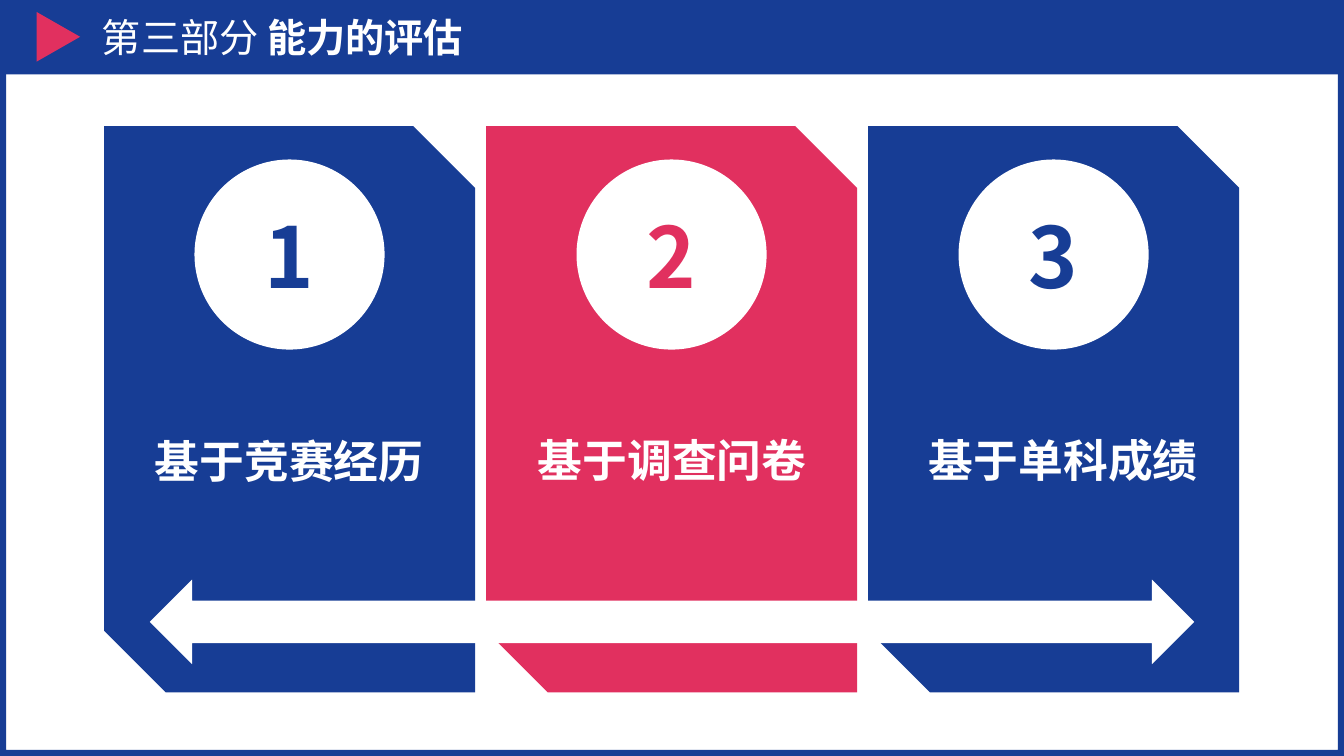
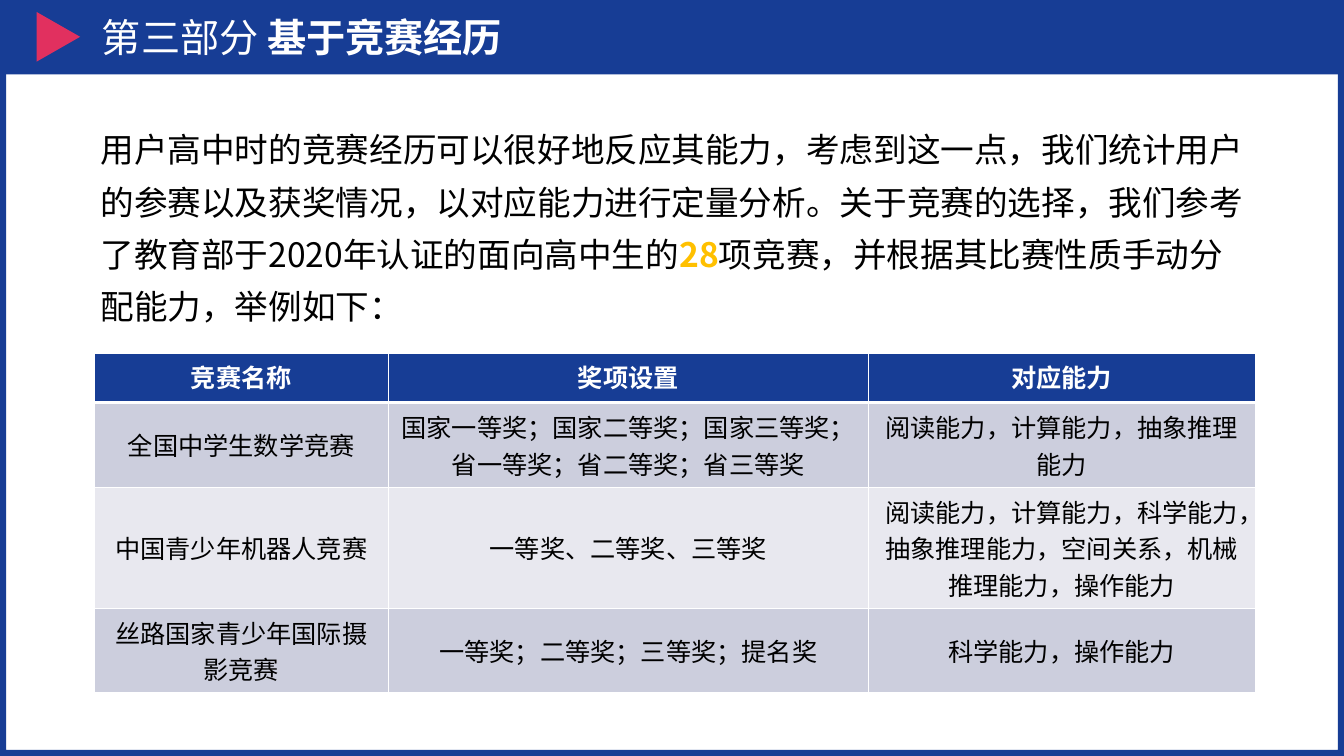
from dataclasses import dataclass

from lxml import etree
from pptx import Presentation
from pptx.dml.color import RGBColor
from pptx.enum.lang import MSO_LANGUAGE_ID
from pptx.enum.shapes import MSO_SHAPE
from pptx.enum.text import MSO_ANCHOR, MSO_AUTO_SIZE, PP_ALIGN
from pptx.oxml.ns import qn
from pptx.util import Pt

FRAME, BAND = MSO_SHAPE.FRAME, MSO_SHAPE.RECTANGLE
TRIANGLE, CIRCLE = MSO_SHAPE.ISOSCELES_TRIANGLE, MSO_SHAPE.OVAL
CARD, ARROW = MSO_SHAPE.SNIP_2_DIAG_RECTANGLE, MSO_SHAPE.LEFT_RIGHT_ARROW
LEFT, CENTER = PP_ALIGN.LEFT, PP_ALIGN.CENTER
TOP, MIDDLE = MSO_ANCHOR.TOP, MSO_ANCHOR.MIDDLE
FIT_SHAPE = MSO_AUTO_SIZE.SHAPE_TO_FIT_TEXT
NO_AUTOFIT = MSO_AUTO_SIZE.NONE
CHINESE = MSO_LANGUAGE_ID.SIMPLIFIED_CHINESE

FONT = "Noto Sans CJK SC"
COLORS = {
    "blue": "173D95", "red": "E1305F", "white": "FFFFFF", "black": "000000",
    "gold": "FFC000", "band_dark": "CCCEDD", "band_light": "E8E8EF",
}
SLIDE_WIDTH, SLIDE_HEIGHT = 960, 540
BAND_HEIGHT = 53.2
TITLE_ONLY = 5


@dataclass(frozen=True)
class Box:
    left: float
    top: float
    width: float
    height: float

    def lengths(self) -> tuple:
        return Pt(self.left), Pt(self.top), Pt(self.width), Pt(self.height)


@dataclass(frozen=True)
class TextRun:
    text: str
    size: float
    color: str
    bold: bool = False


@dataclass(frozen=True)
class Method:
    label: str
    color: str
    label_left: float
    label_top: float


METHODS = [
    Method("基于竞赛经历", "blue", 100.8, 310.3),
    Method("基于调查问卷", "red", 374.4, 309.6),
    Method("基于单科成绩", "blue", 653.8, 309.6),
]
CARD_BOX = Box(74.3, 90, 265, 404.6)
CARD_STEP = 272.9
CIRCLE_TOP, CIRCLE_SIZE = 114.4, 134.8

INTRODUCTION = [
    TextRun("用户高中时的竞赛经历可以很好地反应其能力，考虑到这一点，我们统计用户的参赛以及获奖情况，"
            "以对应能力进行定量分析。关于竞赛的选择，我们参考了教育部于2020年认证的面向高中生的", 24, "black"),
    TextRun("28", 24, "gold", True),
    TextRun("项竞赛，并根据其比赛性质手动分配能力，举例如下：", 24, "black"),
]
COMPETITIONS = [
    ("竞赛名称", "奖项设置", "对应能力"),
    ("全国中学生数学竞赛", "国家一等奖；国家二等奖；国家三等奖；省一等奖；省二等奖；省三等奖",
     "阅读能力，计算能力，抽象推理能力"),
    ("中国青少年机器人竞赛", "一等奖、二等奖、三等奖",
     "阅读能力，计算能力，科学能力，抽象推理能力，空间关系，机械推理能力，操作能力"),
    ("丝路国家青少年国际摄影竞赛", "一等奖；二等奖；三等奖；提名奖", "科学能力，操作能力"),
]
COLUMN_WIDTHS = [210.2, 342.7, 276.5]
ROW_HEIGHTS = [35.2, 60.5, 86.4, 60.5]


def rgb(color: str) -> RGBColor:
    return RGBColor.from_string(COLORS[color])


def write_runs(paragraph, runs: list[TextRun], alignment=CENTER) -> None:
    paragraph.alignment = alignment
    for item in runs:
        run = paragraph.add_run()
        run.text = item.text
        font = run.font
        font.size, font.bold, font.name = Pt(item.size), item.bold, FONT
        font.color.rgb = rgb(item.color)
        font.language_id = CHINESE
        # East Asian typeface follows the Latin one
        properties = run._r.get_or_add_rPr()
        etree.SubElement(properties, qn("a:ea")).set("typeface", FONT)


def add_filled_shape(slide, kind, box: Box, color: str):
    shape = slide.shapes.add_shape(kind, *box.lengths())
    shape.shadow.inherit = False
    shape.fill.solid()
    shape.fill.fore_color.rgb = rgb(color)
    shape.line.fill.background()
    return shape


def add_text(slide, box: Box, runs: list[TextRun], alignment=CENTER,
             line_spacing: float = 1.0, space_before: float = 0) -> None:
    text_frame = slide.shapes.add_textbox(*box.lengths()).text_frame
    text_frame.word_wrap = True
    text_frame.auto_size = FIT_SHAPE
    paragraph = text_frame.paragraphs[0]
    paragraph.line_spacing = line_spacing
    paragraph.space_before = Pt(space_before)
    write_runs(paragraph, runs, alignment)


def decorate_layout(slide, layout) -> None:
    """Draw the frame, band and marker, then move them into the layout."""
    frame = add_filled_shape(slide, FRAME, Box(0, 0, SLIDE_WIDTH, SLIDE_HEIGHT), "blue")
    frame.adjustments[0] = 0.008
    band = add_filled_shape(slide, BAND, Box(0, 0, SLIDE_WIDTH, BAND_HEIGHT), "blue")
    marker = add_filled_shape(slide, TRIANGLE, Box(24, 10.8, 35.4, 31), "red")
    marker.rotation = 90
    for position, shape in enumerate((frame, band, marker), start=2):
        layout.shapes.element.insert(position, shape.element)


def set_title(slide, topic: str) -> None:
    title = slide.shapes.title
    title.left, title.top, title.width, title.height = Box(65.6, 0, 862.6, BAND_HEIGHT).lengths()
    text_frame = title.text_frame
    text_frame.word_wrap = True
    text_frame.auto_size = NO_AUTOFIT
    text_frame.vertical_anchor = MIDDLE
    paragraph = text_frame.paragraphs[0]
    paragraph.space_before = Pt(10)
    write_runs(paragraph, [TextRun("第三部分 ", 28, "white"),
                           TextRun(topic, 28, "white", True)], LEFT)


def add_card(slide, index: int, method: Method) -> None:
    left = CARD_BOX.left + index * CARD_STEP
    add_filled_shape(slide, CARD, Box(left, CARD_BOX.top, CARD_BOX.width, CARD_BOX.height),
                     method.color)
    circle_left = left + (CARD_BOX.width - CIRCLE_SIZE) / 2
    circle = add_filled_shape(slide, CIRCLE,
                              Box(circle_left, CIRCLE_TOP, CIRCLE_SIZE, CIRCLE_SIZE), "white")
    circle.line.color.rgb = rgb("white")
    circle.line.width = Pt(1)
    circle.text_frame.vertical_anchor = MIDDLE
    write_runs(circle.text_frame.paragraphs[0],
               [TextRun(str(index + 1), 60, method.color, True)])


def set_borders(cell, top: float, bottom: float) -> None:
    properties = cell._tc.get_or_add_tcPr()
    widths = {"a:lnL": 1, "a:lnR": 1, "a:lnT": top, "a:lnB": bottom}
    for position, (tag, width) in enumerate(widths.items()):
        line = etree.Element(qn(tag), w=str(Pt(width)))
        fill = etree.SubElement(line, qn("a:solidFill"))
        etree.SubElement(fill, qn("a:srgbClr")).set("val", COLORS["white"])
        properties.insert(position, line)


def add_competition_table(slide) -> None:
    box = Box(67.2, 252.3, sum(COLUMN_WIDTHS), sum(ROW_HEIGHTS))
    table = slide.shapes.add_table(len(ROW_HEIGHTS), len(COLUMN_WIDTHS), *box.lengths()).table
    for column, width in zip(table.columns, COLUMN_WIDTHS):
        column.width = Pt(width)
    for row_index, texts in enumerate(COMPETITIONS):
        row = table.rows[row_index]
        row.height = Pt(ROW_HEIGHTS[row_index])
        header = row_index == 0
        band = "band_dark" if row_index % 2 else "band_light"
        for cell, text in zip(row.cells, texts):
            cell.fill.solid()
            cell.fill.fore_color.rgb = rgb("blue" if header else band)
            cell.vertical_anchor = TOP if header else MIDDLE
            set_borders(cell, top=3 if row_index == 1 else 1, bottom=3 if header else 1)
            write_runs(cell.text_frame.paragraphs[0],
                       [TextRun(text, 18, "white" if header else "black", header)])


def build_methods_slide(slide) -> None:
    set_title(slide, "能力的评估")
    for index, method in enumerate(METHODS):
        add_card(slide, index, method)
    add_filled_shape(slide, ARROW, Box(107, 414, 746, 60.5), "white")
    for method in METHODS:
        add_text(slide, Box(method.label_left, method.label_top, 211.7, 42.5),
                 [TextRun(method.label, 32, "white", True)], line_spacing=0.9)


def build_competitions_slide(slide) -> None:
    set_title(slide, "基于竞赛经历")
    add_text(slide, Box(64.8, 80, 831, 154.8), INTRODUCTION, LEFT,
             line_spacing=1.3, space_before=6)
    add_competition_table(slide)


def main() -> None:
    presentation = Presentation()
    presentation.slide_width, presentation.slide_height = Pt(SLIDE_WIDTH), Pt(SLIDE_HEIGHT)
    layout = presentation.slide_layouts[TITLE_ONLY]
    methods_slide = presentation.slides.add_slide(layout)
    competitions_slide = presentation.slides.add_slide(layout)
    decorate_layout(methods_slide, layout)
    build_methods_slide(methods_slide)
    build_competitions_slide(competitions_slide)
    presentation.save("out.pptx")


if __name__ == "__main__":
    main()
